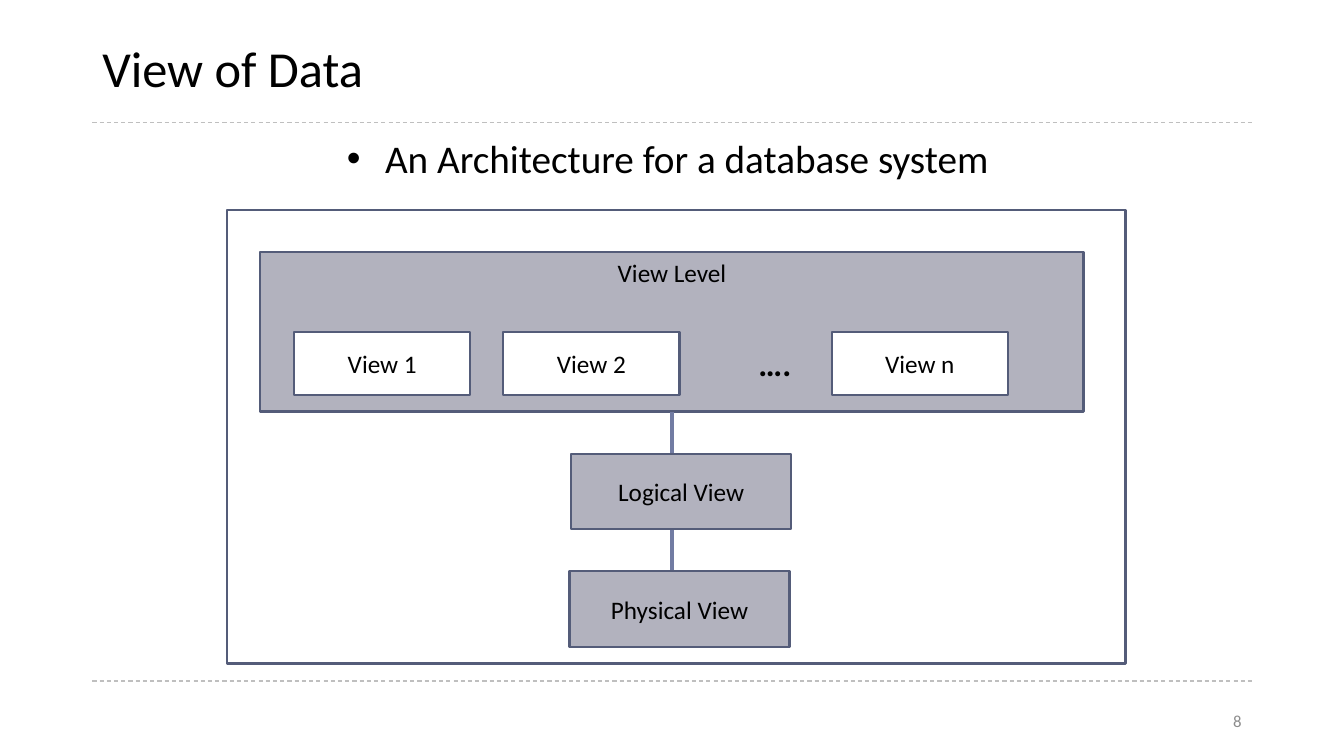
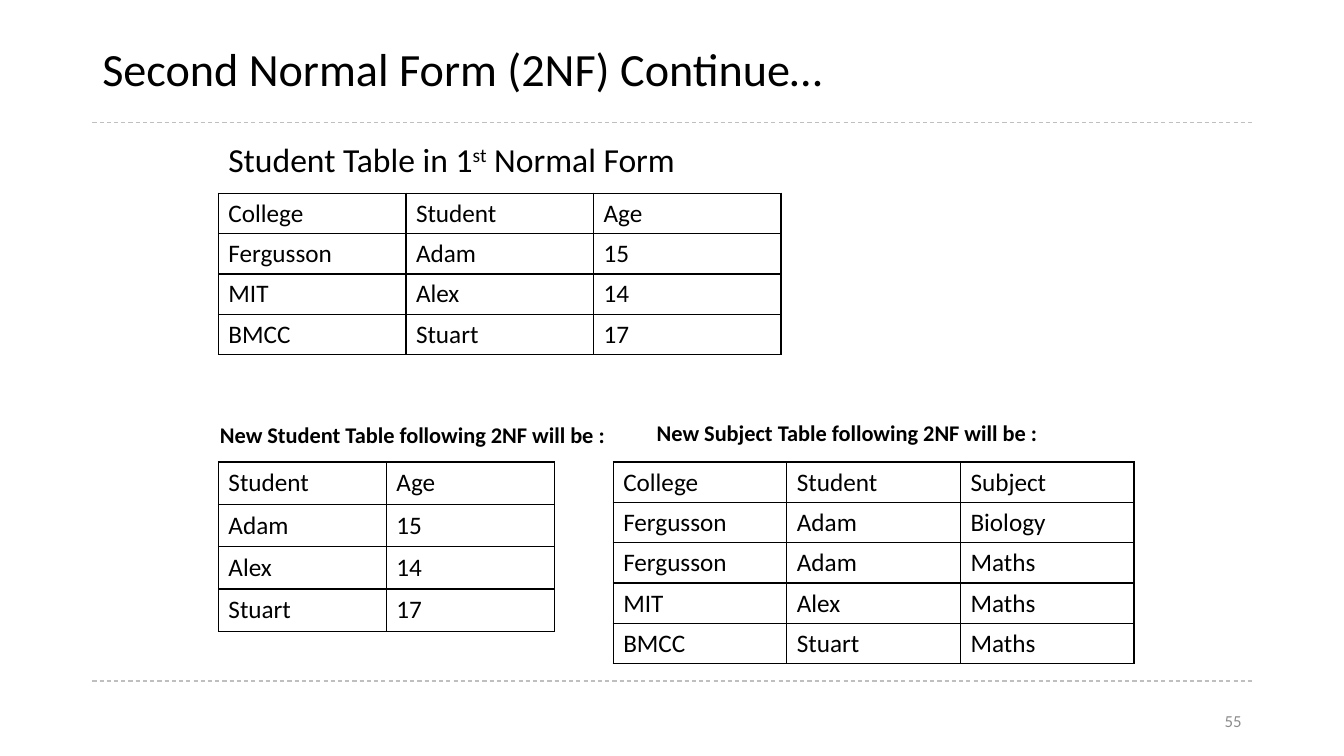
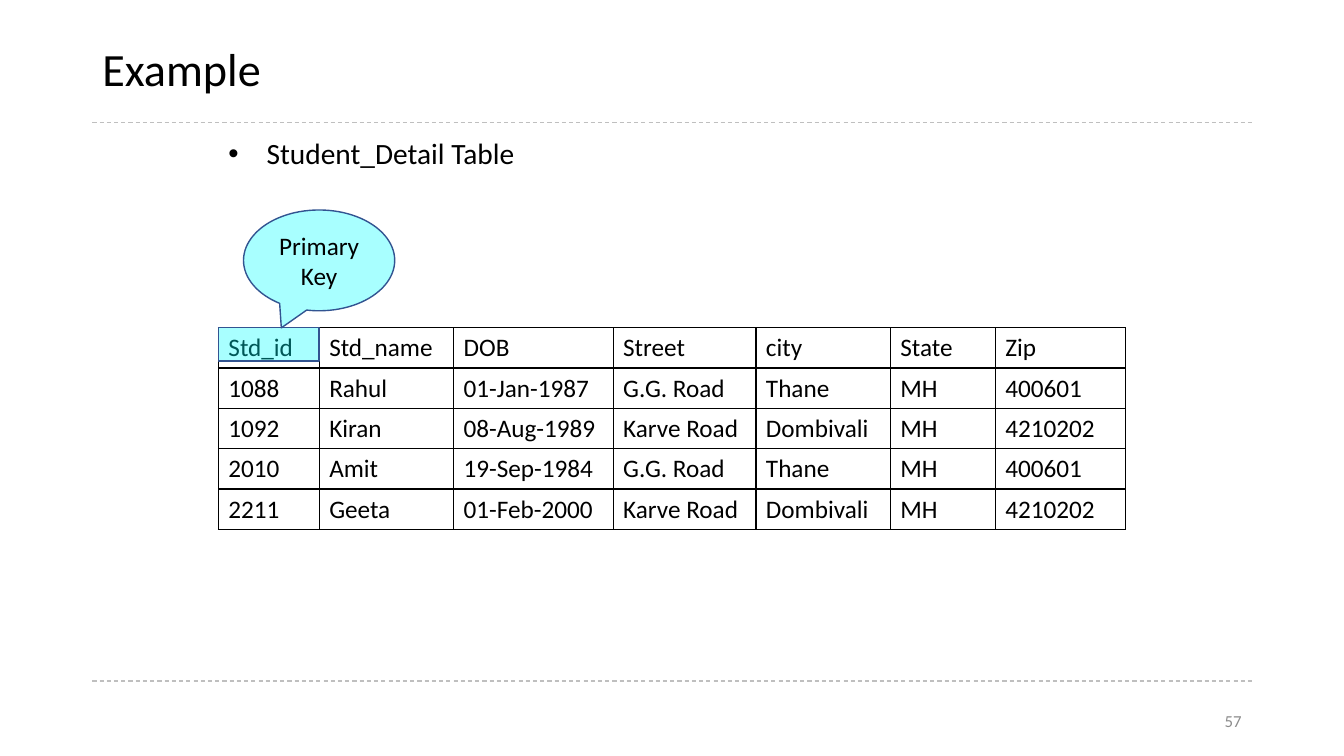
from dataclasses import dataclass
from typing import NamedTuple, Optional

from lxml.etree import SubElement
from pptx import Presentation
from pptx.dml.color import RGBColor
from pptx.enum.dml import MSO_LINE
from pptx.enum.shapes import MSO_CONNECTOR, MSO_SHAPE
from pptx.enum.text import MSO_ANCHOR, PP_ALIGN
from pptx.oxml.ns import qn
from pptx.util import Emu, Inches, Pt

# The slide is a grid of 160 columns by 90 rows, twelve to the inch.
COLS, ROWS = 160, 90


@dataclass(frozen=True)
class Theme:
    font: str = "Calibri"
    ink: str = "000000"
    muted: str = "8C8C8C"
    rule: str = "BFBFBF"
    panel: str = "B2B2BE"
    paper: str = "FFFFFF"
    outline: str = "545C79"
    link: str = "727CA3"
    mark: str = "00FFFF"
    mark_edge: str = "325491"
    mark_alpha: int = 34
    title: int = 36
    title_small: int = 33
    lead: int = 28
    bullet: int = 21
    heading: int = 24
    caption: int = 16
    body: int = 18
    dots: int = 24
    number: int = 12


T = Theme()
LEFT, CENTER, RIGHT = PP_ALIGN.LEFT, PP_ALIGN.CENTER, PP_ALIGN.RIGHT
TOP, MIDDLE = MSO_ANCHOR.TOP, MSO_ANCHOR.MIDDLE


class Area(NamedTuple):
    """A rectangle in grid columns and rows."""
    col: float
    row: float
    cols: float
    rows: float


class Run(NamedTuple):
    text: str
    raised: bool = False


@dataclass(frozen=True)
class Text:
    runs: tuple
    size: int = T.body
    align: PP_ALIGN = LEFT
    anchor: MSO_ANCHOR = TOP
    bold: bool = False
    color: str = T.ink
    spacing: Optional[float] = None
    bullet: bool = False


@dataclass(frozen=True)
class Box:
    area: Area
    text: Optional[Text] = None
    fill: Optional[str] = None
    line: Optional[str] = T.outline
    weight: float = 1.5
    alpha: Optional[int] = None
    kind: MSO_SHAPE = MSO_SHAPE.RECTANGLE
    adjust: tuple = ()


@dataclass(frozen=True)
class Grid:
    """A ruled table: top left corner, column widths, row height and rows."""
    col: float
    row: float
    widths: tuple
    height: float
    cells: tuple


def g(units: float) -> Emu:
    return Inches(units / 12)


def rgb(code: str) -> RGBColor:
    return RGBColor.from_string(code)


def assign(target, values: dict) -> None:
    for name, value in values.items():
        setattr(target, name, value)


def plain(text: str, **fmt) -> Text:
    return Text((Run(text),), **fmt)


def label(text: str, **fmt) -> Text:
    return plain(text, **{"align": CENTER, "anchor": MIDDLE, **fmt})


def add_bullet(p) -> None:
    pPr = p._p.get_or_add_pPr()
    pPr.set("marL", str(Inches(0.38)))
    pPr.set("indent", str(-Inches(0.38)))
    SubElement(pPr, qn("a:buFont"), typeface="Arial")
    SubElement(pPr, qn("a:buChar"), char="•")


def write(tf, text: Text) -> None:
    assign(tf, {"word_wrap": True, "vertical_anchor": text.anchor})
    p = tf.paragraphs[0]
    if text.bullet:
        add_bullet(p)
    assign(p, {"alignment": text.align, "line_spacing": text.spacing})
    for run in text.runs:
        r = p.add_run()
        r.text = run.text
        assign(r.font, {"name": T.font, "size": Pt(text.size), "bold": text.bold})
        r.font.color.rgb = rgb(text.color)
        if run.raised:
            r._r.get_or_add_rPr().set("baseline", "30000")


def add_text(s, area: Area, text: Text) -> None:
    write(s.shapes.add_textbox(*map(g, area)).text_frame, text)


def add_box(s, box: Box):
    sp = s.shapes.add_shape(box.kind, *map(g, box.area))
    sp.shadow.inherit = False
    for i, value in enumerate(box.adjust):
        sp.adjustments[i] = value
    if box.fill:
        sp.fill.solid()
        sp.fill.fore_color.rgb = rgb(box.fill)
        if box.alpha:
            color = sp._element.spPr.find(f".//{qn('a:srgbClr')}")
            SubElement(color, qn("a:alpha"), val=str(box.alpha * 1000))
    else:
        sp.fill.background()
    if box.line:
        sp.line.color.rgb = rgb(box.line)
        sp.line.width = Pt(box.weight)
    else:
        sp.line.fill.background()
    if box.text:
        write(sp.text_frame, box.text)
    return sp


def add_line(s, start: tuple, end: tuple, color: str, weight: float, dash=None):
    line = s.shapes.add_connector(MSO_CONNECTOR.STRAIGHT, *map(g, start + end))
    line.line.color.rgb = rgb(color)
    assign(line.line, {"width": Pt(weight), "dash_style": dash})
    SubElement(line._element.spPr, qn("a:effectLst"))
    return line


def rule_cell(cell) -> None:
    """Draw a thin line on all four sides of a cell without fill."""
    tcPr = cell._tc.get_or_add_tcPr()
    for side in ("a:lnL", "a:lnR", "a:lnT", "a:lnB"):
        ln = SubElement(tcPr, qn(side), w=str(Pt(1)))
        SubElement(SubElement(ln, qn("a:solidFill")), qn("a:srgbClr"), val=T.ink)
    cell.fill.background()


def add_grid(s, grid: Grid) -> None:
    count = len(grid.cells)
    table = s.shapes.add_table(
        count, len(grid.widths), g(grid.col), g(grid.row),
        g(sum(grid.widths)), g(grid.height * count)).table
    assign(table, {"first_row": False, "horz_banding": False})
    for column, width in zip(table.columns, grid.widths):
        column.width = g(width)
    for i, values in enumerate(grid.cells):
        table.rows[i].height = g(grid.height)
        for j, value in enumerate(values):
            cell = table.cell(i, j)
            rule_cell(cell)
            write(cell.text_frame, plain(value))
            cell.vertical_anchor = MIDDLE


def add_slide(prs, title: str, number: int, size: int = T.title_small):
    """Start a slide with the shared rules, title and slide number."""
    s = prs.slides.add_slide(prs.slide_layouts[6])
    for row in (81, 14.6, 81.1):
        add_line(s, (11, row), (149, row), T.rule, 0.75, MSO_LINE.DASH)
    add_text(s, Area(11, 2.5, 138, 12),
             plain(title, size=size, anchor=MIDDLE, spacing=0.9))
    add_text(s, Area(113, 83.4, 36, 4.8),
             plain(str(number), size=T.number, align=RIGHT, anchor=MIDDLE, color=T.muted))
    return s


def view_of_data(prs) -> None:
    s = add_slide(prs, "View of Data", 8, T.title)
    add_text(s, Area(26, 16, 108, 8),
             plain("An Architecture for a database system ", size=T.lead,
                   align=CENTER, spacing=0.9, bullet=True))
    add_box(s, Box(Area(27, 25, 107, 54)))
    level = Area(31, 30, 98, 19)
    panel = add_box(s, Box(level, label("View Level", anchor=TOP), T.panel))
    middle = level.col + level.cols / 2
    spine = add_line(s, (middle, level.row + level.rows), (middle, 69), T.link, 2.75)
    spine.begin_connect(panel, 2)
    for name, col in (("View 1", 35), ("View 2", 59.9), ("View n", 99)):
        add_box(s, Box(Area(col, 39.5, 21, 7.5), label(name), T.paper))
    add_box(s, Box(Area(88, 39.5, 8.5, 7.5), label("….", size=T.dots, bold=True),
                   T.panel, line=None))
    for name, col, row in (("Logical View", 68, 54), ("Physical View", 67.8, 68)):
        add_box(s, Box(Area(col, row, 26.2, 9), label(name), T.panel))


def second_normal_form(prs) -> None:
    s = add_slide(prs, "Second Normal Form (2NF) Continue…", 55)
    grids = (
        Grid(26, 23, (22.33,) * 3, 4.8, (
            ("College", "Student", "Age"),
            ("Fergusson", "Adam", "15"),
            ("MIT", "Alex", "14"),
            ("BMCC", "Stuart", "17"))),
        Grid(26, 55, (20,) * 2, 5.04, (
            ("Student", "Age"),
            ("Adam", "15"),
            ("Alex", "14"),
            ("Stuart", "17"))),
        Grid(73, 55, (20.67,) * 3, 4.8, (
            ("College", "Student", "Subject"),
            ("Fergusson", "Adam", "Biology"),
            ("Fergusson", "Adam", "Maths"),
            ("MIT", "Alex", "Maths"),
            ("BMCC", "Stuart", "Maths"))),
    )
    for grid in grids:
        add_grid(s, grid)
    add_text(s, Area(26, 16, 58.7, 6),
             Text((Run("Student Table in 1"), Run("st", True), Run(" Normal Form")),
                  size=T.heading))
    for name, col, row in (("Student", 25, 49.5), ("Subject", 77, 49.3)):
        add_text(s, Area(col, row, 50.5, 4.4),
                 plain(f"New {name} Table following 2NF will be :",
                       size=T.caption, bold=True))


def key_example(prs) -> None:
    s = add_slide(prs, "Example", 57)
    add_text(s, Area(26, 16, 108, 6),
             plain("Student_Detail Table", size=T.bullet, spacing=0.9, bullet=True))
    add_grid(s, Grid(26, 39, (12, 16, 19, 17, 16, 12.5, 15.5), 4.8, (
        ("Std_id", "Std_name", "DOB", "Street", "city", "State", "Zip"),
        ("1088", "Rahul", "01-Jan-1987", "G.G. Road", "Thane", "MH", "400601"),
        ("1092", "Kiran", "08-Aug-1989", "Karve Road", "Dombivali", "MH", "4210202"),
        ("2010", "Amit", "19-Sep-1984", "G.G. Road", "Thane", "MH", "400601"),
        ("2211", "Geeta", "01-Feb-2000", "Karve Road", "Dombivali", "MH", "4210202"))))
    mark = {"fill": T.mark, "line": T.mark_edge, "weight": 1, "alpha": T.mark_alpha}
    add_box(s, Box(Area(26, 39, 12, 4), **mark))
    add_box(s, Box(Area(29, 25, 18, 12), label("Primary Key"),
                   kind=MSO_SHAPE.OVAL_CALLOUT, adjust=(-0.25, 0.67), **mark))


def main() -> None:
    prs = Presentation()
    assign(prs, {"slide_width": g(COLS), "slide_height": g(ROWS)})
    for build in (view_of_data, second_normal_form, key_example):
        build(prs)
    prs.save("out.pptx")


if __name__ == "__main__":
    main()
